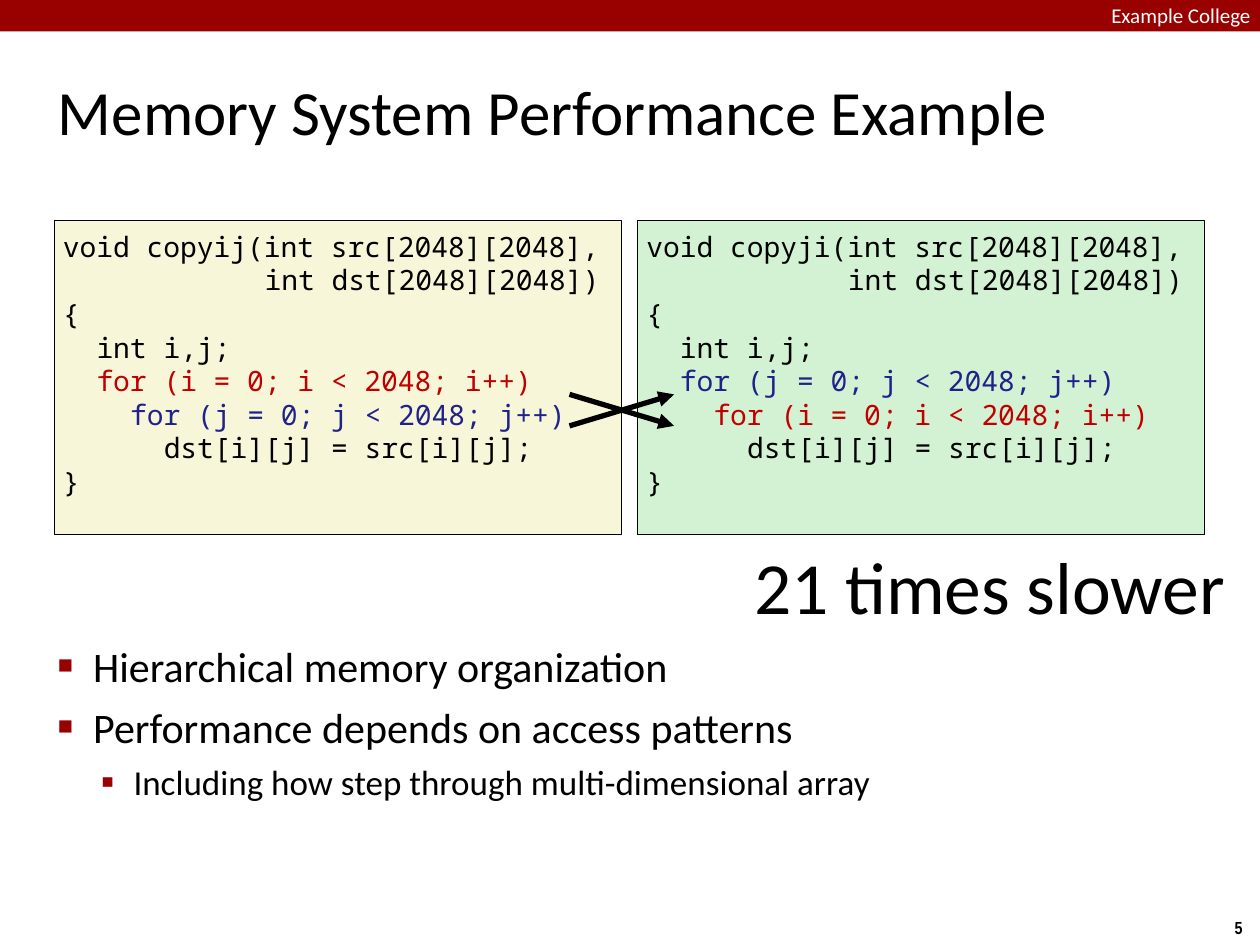
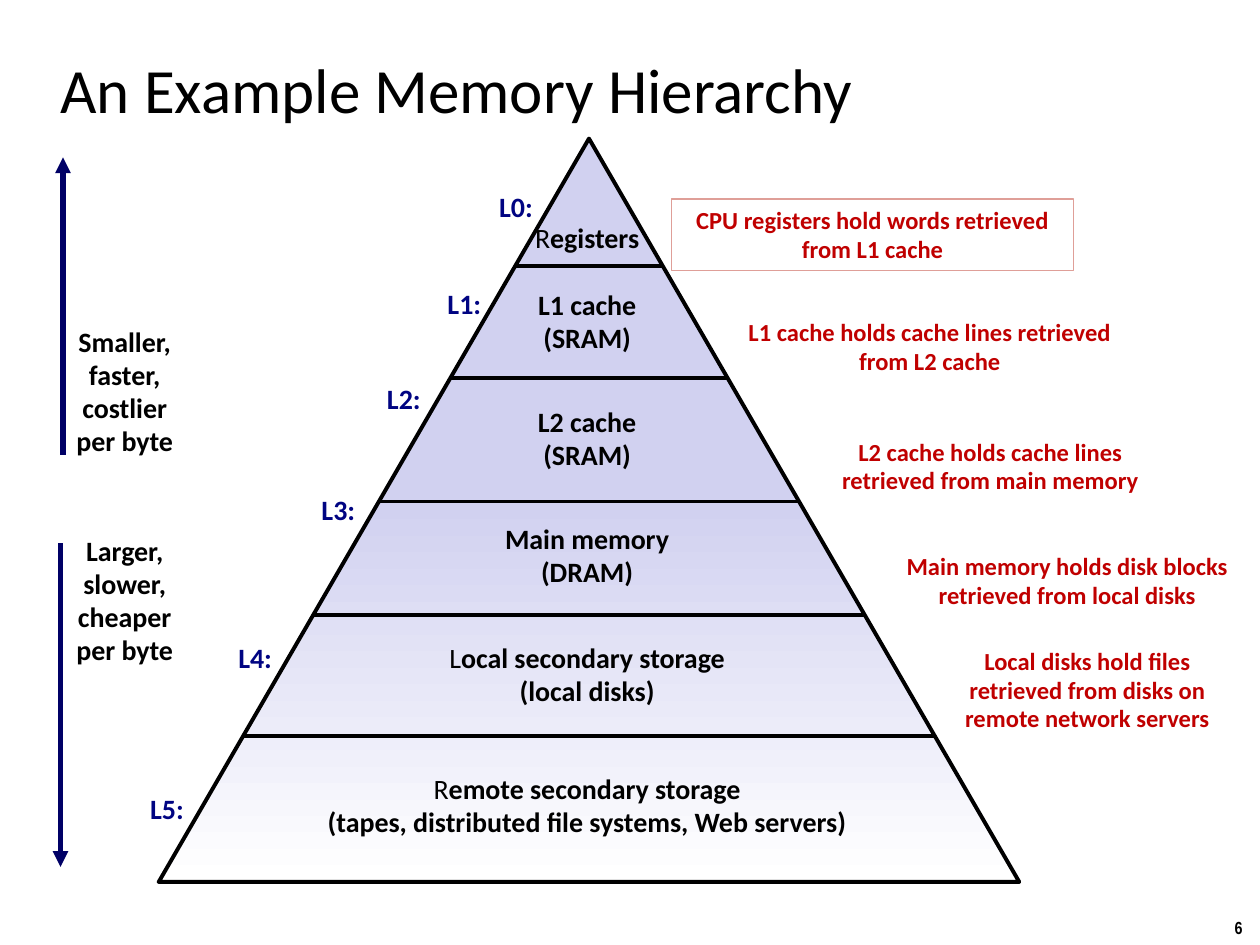
from copy import deepcopy
from dataclasses import dataclass
from typing import Optional

from lxml import etree
from pptx import Presentation
from pptx import util as u
from pptx.dml.color import RGBColor
from pptx.enum import shapes, text
from pptx.oxml import ns


@dataclass(frozen=True)
class Theme:
    body_font: str = "Calibri"
    code_font: str = "Noto Sans Mono"
    number_font: str = "Arial Narrow"
    black: str = "000000"
    white: str = "FFFFFF"
    band: str = "990000"
    cream: str = "F8F6D9"
    mint: str = "D3F2D3"
    lilac: str = "D1D1F0"
    red: str = "C00000"
    blue: str = "21218A"
    level: str = "000482"
    arrow: str = "000066"
    frame: str = "DF9F98"
    title: int = 36
    callout: int = 42
    bullet: int = 24
    sub_bullet: int = 20
    label: int = 16
    note: int = 14
    band_text: int = 12
    number: int = 10


@dataclass
class Span:
    text: str
    color: Optional[str] = None
    bold: Optional[bool] = None


THEME = Theme()
COLUMNS, ROWS = 100, 75
TIGHT = (0.4, 0.4)
ROOMY = (1, 0.5)
CENTER = text.PP_ALIGN.CENTER
MIDDLE = text.MSO_ANCHOR.MIDDLE


class Stage:
    def __init__(self, deck, theme):
        self.deck, self.theme = deck, theme
        self.page = None

    def x(self, columns):
        return u.Emu(round(self.deck.slide_width * columns / COLUMNS))

    def y(self, rows):
        return u.Emu(round(self.deck.slide_height * rows / ROWS))

    def area(self, left, top, width, height):
        return self.x(left), self.y(top), self.x(width), self.y(height)

    def rgb(self, color):
        return RGBColor.from_string(color)

    def new_page(self, title, title_area, number):
        self.page = self.deck.slides.add_slide(self.deck.slide_layouts[6])
        self.text(title_area, [title], self.theme.title, anchor=MIDDLE)
        self.text((96.6, 72.3, 3.4, 2.7), [str(number)], self.theme.number,
                  font=self.theme.number_font, bold=True, align=CENTER,
                  inset=ROOMY, wrap=False)

    def shape(self, kind, area, fill=None, line=None, weight=1):
        shape = self.page.shapes.add_shape(kind, *self.area(*area))
        shape.shadow.inherit = False
        if fill:
            shape.fill.solid()
            shape.fill.fore_color.rgb = self.rgb(fill)
        else:
            shape.fill.background()
        if line:
            shape.line.color.rgb = self.rgb(line)
            shape.line.width = u.Pt(weight)
        else:
            shape.line.fill.background()
        return shape

    def add_spans(self, para, spans, size, color, font, bold):
        for span in [Span(spans)] if isinstance(spans, str) else spans:
            run = para.add_run()
            run.text = span.text
            run.font.size = u.Pt(size)
            run.font.name = font
            run.font.bold = bold if span.bold is None else span.bold
            run.font.color.rgb = self.rgb(span.color or color)

    def text(self, area, lines, size, color=None, font=None, bold=False,
             align=text.PP_ALIGN.LEFT, anchor=text.MSO_ANCHOR.TOP,
             inset=TIGHT, wrap=True, spacing=None, box=None):
        box = box or self.page.shapes.add_textbox(*self.area(*area))
        frame = box.text_frame
        frame.word_wrap = wrap
        frame.vertical_anchor = anchor
        frame.margin_left = frame.margin_right = self.x(inset[0])
        frame.margin_top = frame.margin_bottom = self.y(inset[1])
        for index, spans in enumerate(lines):
            para = frame.add_paragraph() if index else frame.paragraphs[0]
            para.alignment = align
            para.line_spacing = spacing
            self.add_spans(para, spans, size, color or self.theme.black,
                           font or self.theme.body_font, bold)
        return frame

    def indent(self, para, margin, first=0):
        props = para._p.get_or_add_pPr()
        props.set("marL", str(self.x(margin)))
        props.set("indent", str(self.x(first)))
        return props

    def bullets(self, area, items):
        styles = ((self.theme.bullet, 6, 2.8, -2.8, "■", 60),
                  (self.theme.sub_bullet, 5, 6, -2.6, "▪", 110))
        frame = self.text(area, [[] for _ in items], self.theme.bullet)
        for para, (level, words) in zip(frame.paragraphs, items):
            size, before, margin, first, mark, share = styles[level]
            para.level = level
            para.space_before = u.Pt(before)
            self.add_spans(para, words, size, self.theme.black, self.theme.body_font, False)
            props = self.indent(para, margin, first)
            tint = etree.SubElement(props, ns.qn("a:buClr"))
            etree.SubElement(tint, ns.qn("a:srgbClr"), val=self.theme.band)
            etree.SubElement(props, ns.qn("a:buSzPct"), val=str(share * 1000))
            etree.SubElement(props, ns.qn("a:buFont"), typeface="Arial")
            etree.SubElement(props, ns.qn("a:buChar"), char=mark)

    def code(self, area, fill, lines):
        box = self.shape(shapes.MSO_SHAPE.RECTANGLE, area, fill, self.theme.black, 0.5)
        frame = self.text(area, [line for _, line in lines], self.theme.label,
                          font=self.theme.code_font, inset=(0.7, 0.7), box=box)
        letter = self.theme.label * 0.6 / 7.2
        for para, (depth, _) in zip(frame.paragraphs, lines):
            self.indent(para, depth * letter)

    def line(self, start, end, color, weight, arrow=False):
        line = self.page.shapes.add_connector(
            shapes.MSO_CONNECTOR.STRAIGHT, self.x(start[0]), self.y(start[1]),
            self.x(end[0]), self.y(end[1]))
        line.line.color.rgb = self.rgb(color)
        line.line.width = u.Pt(weight)
        props = line._element.spPr
        if arrow:
            etree.SubElement(props.find(ns.qn("a:ln")), ns.qn("a:tailEnd"), type="triangle")
        etree.SubElement(props, ns.qn("a:effectLst"))

    def label(self, center, width, lines, color=None):
        height = 1 + 2.7 * len(lines)
        area = (center[0] - width / 2, center[1] - height / 2, width, height)
        self.text(area, lines, self.theme.label, color, bold=True, align=CENTER,
                  anchor=MIDDLE, inset=ROOMY, wrap=False, spacing=0.98)

    def note(self, area, words, framed=False):
        box = self.shape(shapes.MSO_SHAPE.RECTANGLE, area, line=self.theme.frame,
                         weight=0.75) if framed else None
        self.text(area, [words], self.theme.note, self.theme.red, bold=True,
                  align=CENTER, anchor=MIDDLE, inset=ROOMY, spacing=0.98, box=box)

    def pyramid(self, area, cuts):
        shape = self.shape(shapes.MSO_SHAPE.ISOSCELES_TRIANGLE, area,
                           line=self.theme.black, weight=2.25)
        shape.fill.gradient()
        shape.fill.gradient_angle = 270
        for stop, color in zip(shape.fill.gradient_stops,
                               (self.theme.lilac, self.theme.white)):
            stop.color.rgb = self.rgb(color)
        first, last = shape._element.spPr.findall(".//" + ns.qn("a:gs"))
        middle = deepcopy(first)
        first.addnext(middle)
        for stop, share in ((first, 0), (middle, 49), (last, 100)):
            stop.set("pos", str(share * 1000))
        left, top, width, height = area
        center = left + width / 2
        for cut in cuts:
            half = (cut - top) / height * width / 2
            self.line((center - half, cut), (center + half, cut), self.theme.black, 2)


def copy_code(name, outer, inner):
    colors = {"i": THEME.red, "j": THEME.blue}
    loops = [[Span(f"for ({v} = 0; {v} < 2048; {v}++)", colors[v])] for v in (outer, inner)]
    return [(0, f"void {name}(int src[2048][2048],"), (12, "int dst[2048][2048])"),
            (0, "{"), (2, "int i,j;"), (2, loops[0]), (4, loops[1]),
            (6, "dst[i][j] = src[i][j];"), (0, "}")]


def light_initial(words):
    return [Span(words[0], bold=False), Span(words[1:])]


def performance_page(stage):
    stage.new_page("Memory System Performance Example", (4.2, 2.8, 91.7, 11.9), 5)
    stage.shape(shapes.MSO_SHAPE.RECTANGLE, (0, 0, COLUMNS, 2.5), THEME.band)
    stage.text((88.2, 0.2, 14.4, 1.9), ["Example College"], THEME.band_text,
               THEME.white, inset=(0, 0))
    stage.bullets((4.2, 50.4, 91.7, 24.3), [
        (0, "Hierarchical memory organization"),
        (0, "Performance depends on access patterns"),
        (1, "Including how step through multi-dimensional array")])
    stage.code((50.6, 17.5, 45, 24.9), THEME.mint, copy_code("copyji", "j", "i"))
    stage.code((4.3, 17.5, 45, 24.9), THEME.cream, copy_code("copyij", "i", "j"))
    upper, lower = 31.3, 33.8
    for start, end in ((upper, lower), (lower, upper)):
        stage.line((45.2, start), (53.5, end), THEME.black, 3, arrow=True)
    stage.text((59.2, 42.5, 38.7, 7.9), ["21 times slower"], THEME.callout,
               align=CENTER, wrap=False)


def hierarchy_page(stage):
    stage.new_page("An Example Memory Hierarchy", (4.4, 2.7, 95.3, 8.6), 6)
    stage.pyramid((12.6, 11, 68.3, 59), (21.1, 30, 39.8, 48.8, 58.4))
    layers = (
        (18.95, 10.4, [light_initial("Registers")], (40.95, 16.45)),
        (25.55, 9.9, ["L1 cache", "(SRAM)"], (36.85, 24.15)),
        (34.85, 10, ["L2 cache", "(SRAM)"], (32.05, 31.75)),
        (44.15, 15, ["Main memory", "(DRAM)"], (26.85, 40.55)),
        (53.55, 24.1, [light_initial("Local secondary storage"), "(local disks)"],
         (20.25, 52.25)),
        (63.95, 43.7, [light_initial("Remote secondary storage"),
                       "(tapes, distributed file systems, Web servers)"], (13.25, 64.25)))
    for level, (middle, width, lines, tag) in enumerate(layers):
        stage.label((46.6, middle), width, lines)
        stage.label(tag, 4.7, [f"L{level}:"], THEME.level)
    stage.note((53.3, 15.8, 31.9, 5.7),
               "CPU registers hold words retrieved from L1 cache", framed=True)
    for area, words in (
            ((58.3, 24.7, 31, 5.7), "L1 cache holds cache lines retrieved from L2 cache"),
            ((64.2, 34.2, 28.8, 5.7), "L2 cache holds cache lines retrieved from main memory"),
            ((69.7, 43.3, 30, 5.7), "Main memory holds disk blocks retrieved from local disks"),
            ((75, 50.8, 22.6, 8),
             "Local disks hold files retrieved from disks on remote network servers")):
        stage.note(area, words)
    for column, start, end, middle, lines in (
            (5, 36.1, 12.5, 31.1, ["Smaller,", "faster,", "costlier", "per byte"]),
            (4.8, 43.1, 68.8, 47.7, ["Larger,", "slower,", "cheaper", "per byte"])):
        stage.line((column, start), (column, end), THEME.arrow, 3, arrow=True)
        stage.label((9.9, middle), 9.8, lines)


deck = Presentation()
deck.slide_width, deck.slide_height = u.Inches(10), u.Inches(7.5)
stage = Stage(deck, THEME)
performance_page(stage)
hierarchy_page(stage)
deck.save("out.pptx")
